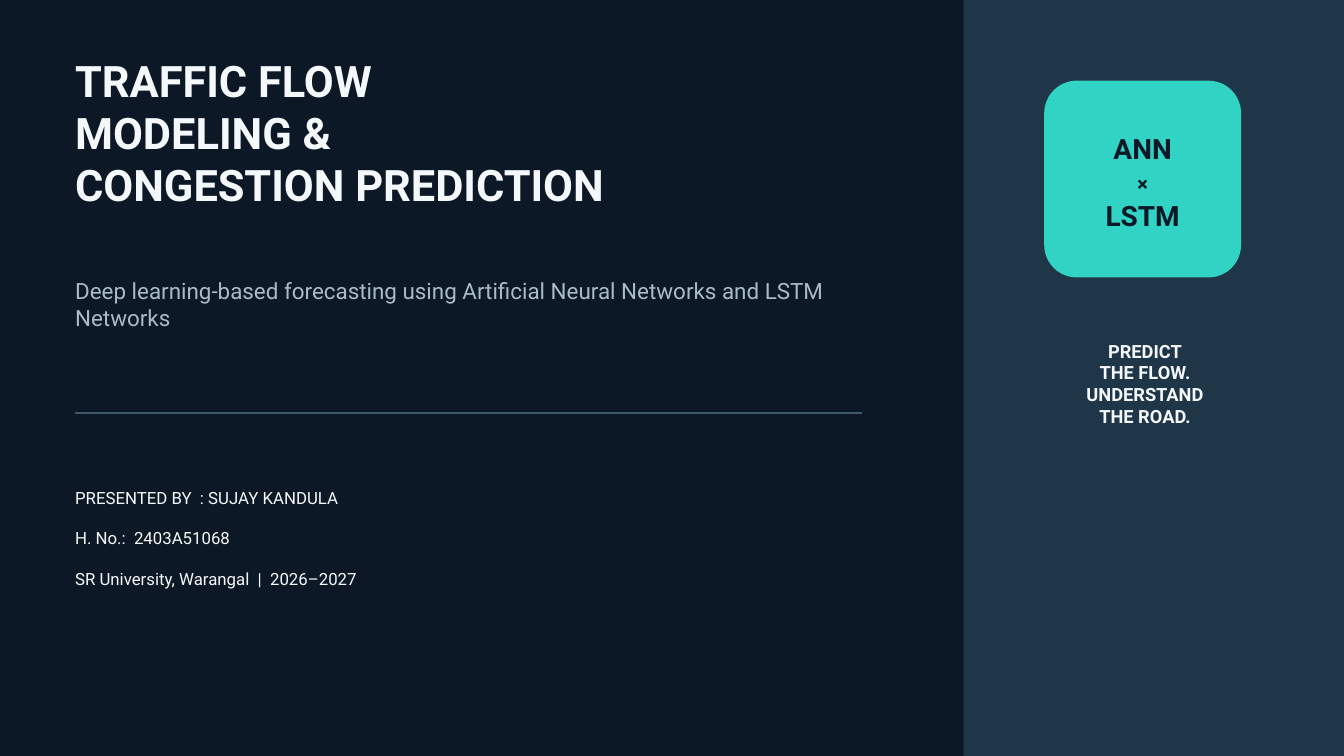
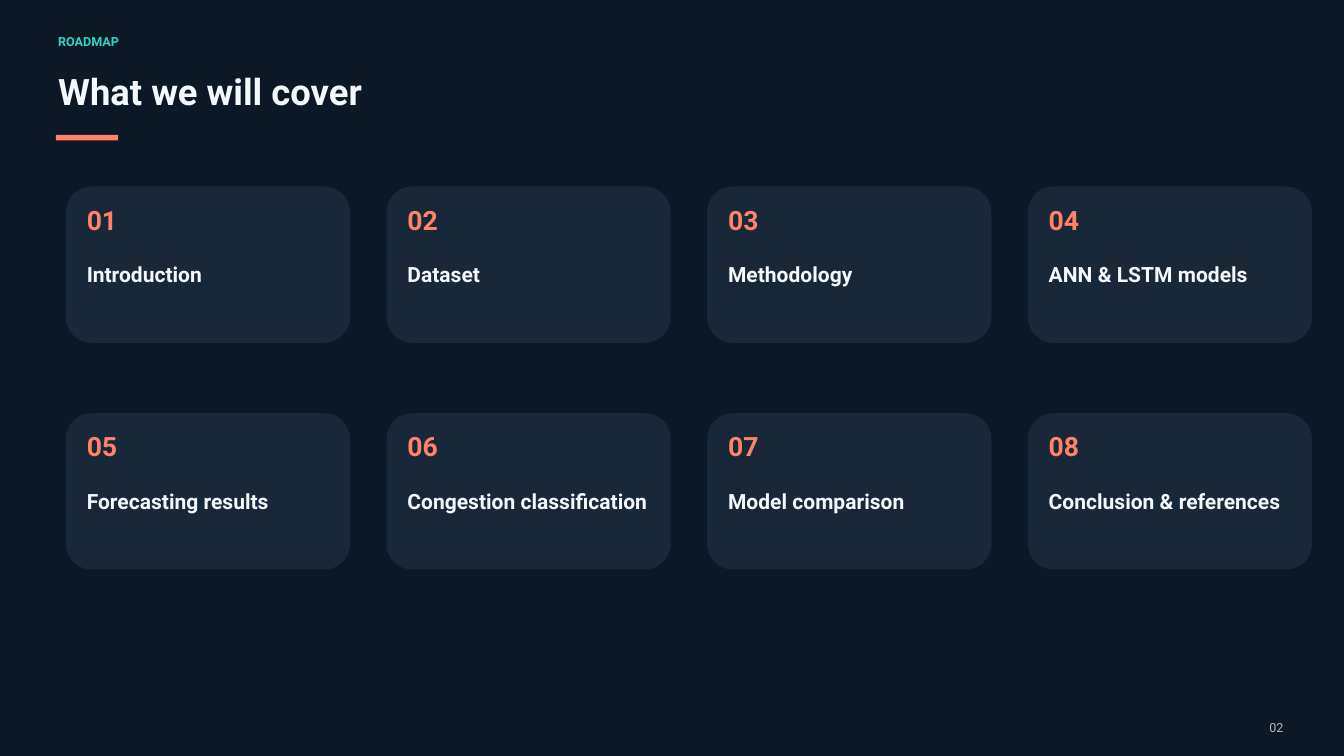
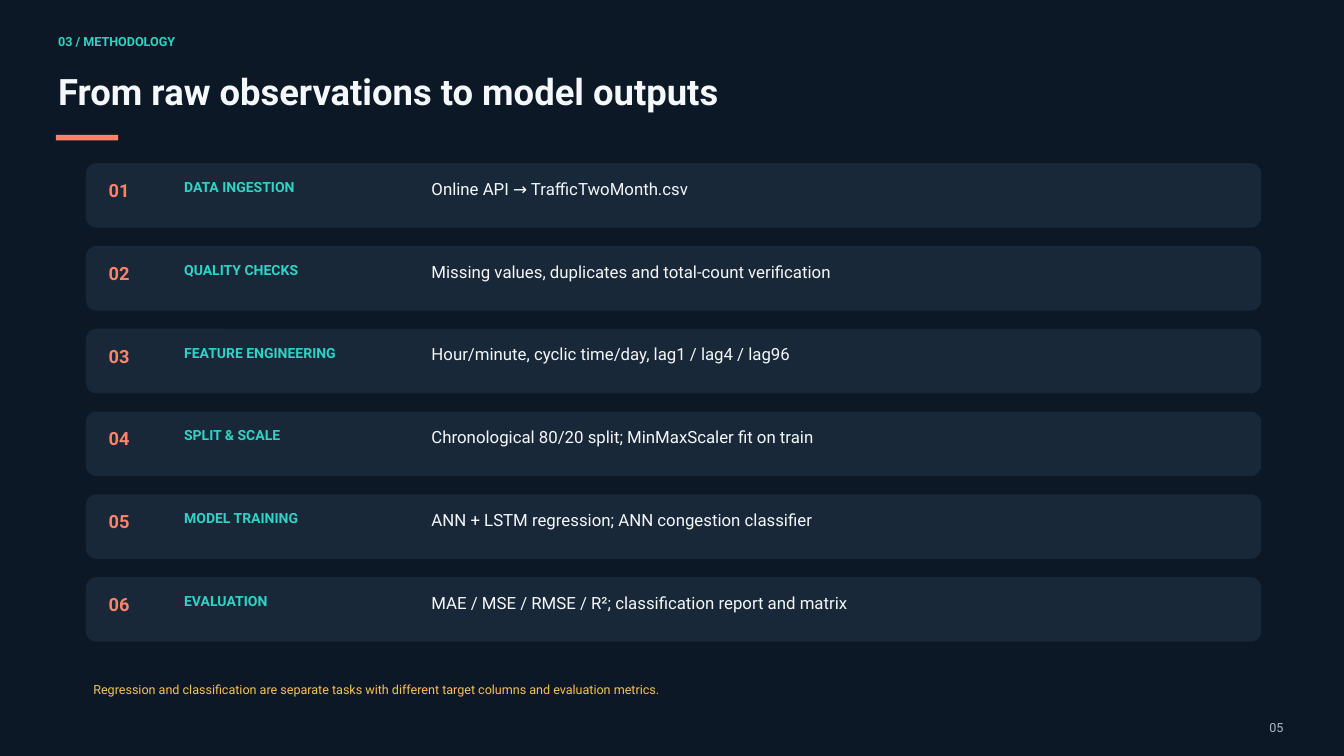
from pptx import Presentation
from pptx.dml.color import RGBColor
from pptx.enum.shapes import MSO_CONNECTOR, MSO_SHAPE
from pptx.enum.text import MSO_ANCHOR, MSO_AUTO_SIZE, PP_ALIGN
from pptx.oxml.ns import qn
from pptx.util import Cm, Pt
from lxml.etree import SubElement

COLORS = {
    "background": "0D1826",
    "panel": "1F3548",
    "card": "182839",
    "rule": "42596B",
    "teal": "30D3C4",
    "coral": "FF8269",
    "amber": "F4C25D",
    "white": "F4F8FB",
    "muted": "A9BBC9",
}
FONT = "Roboto"
SYMBOL_FONT = "Cabin"
LINE_HEIGHT = 1.2
CORNER = 0.165
TITLE_ONLY = 5

TOPICS = [
    "Introduction", "Dataset", "Methodology", "ANN & LSTM models",
    "Forecasting results", "Congestion classification", "Model comparison",
    "Conclusion & references",
]
STEPS = [
    ("DATA INGESTION", "Online API → TrafficTwoMonth.csv"),
    ("QUALITY CHECKS", "Missing values, duplicates and total-count verification"),
    ("FEATURE ENGINEERING", "Hour/minute, cyclic time/day, lag1 / lag4 / lag96"),
    ("SPLIT & SCALE", "Chronological 80/20 split; MinMaxScaler fit on train"),
    ("MODEL TRAINING", "ANN + LSTM regression; ANN congestion classifier"),
    ("EVALUATION", "MAE / MSE / RMSE / R²; classification report and matrix"),
]


def rgb(color):
    return RGBColor.from_string(COLORS[color])


def write_text(shape, text, *, size, color="white", bold=False,
               align=PP_ALIGN.LEFT, anchor=MSO_ANCHOR.TOP, gap=0):
    frame = shape.text_frame
    frame.word_wrap = True
    frame.auto_size = MSO_AUTO_SIZE.NONE
    frame.vertical_anchor = anchor
    frame.margin_left = frame.margin_right = 0
    frame.margin_top = frame.margin_bottom = 0
    frame.text = text
    for index, paragraph in enumerate(frame.paragraphs):
        paragraph.alignment = align
        paragraph.line_spacing = Pt(size * LINE_HEIGHT)
        paragraph.space_before = Pt(gap if index else 0)
        for run in paragraph.runs:
            run.font.name = FONT
            run.font.size = Pt(size)
            run.font.bold = bold
            run.font.color.rgb = rgb(color)


def add_text(slide, text, left, top, width, height, **text_format):
    box = slide.shapes.add_textbox(Cm(left), Cm(top), Cm(width), Cm(height))
    write_text(box, text, **text_format)


def add_block(slide, left, top, width, height, color, rounded=False):
    kind = MSO_SHAPE.ROUNDED_RECTANGLE if rounded else MSO_SHAPE.RECTANGLE
    shape = slide.shapes.add_shape(kind, Cm(left), Cm(top), Cm(width), Cm(height))
    if rounded:
        shape.adjustments[0] = CORNER
    shape.fill.solid()
    shape.fill.fore_color.rgb = rgb(color)
    shape.line.fill.background()
    shape.shadow.inherit = False
    return shape


def add_rule(slide, left, right, y):
    connector = slide.shapes.add_connector(
        MSO_CONNECTOR.STRAIGHT, Cm(left), Cm(y), Cm(right), Cm(y))
    connector.line.color.rgb = rgb("rule")
    connector.line.width = Pt(2.25)
    SubElement(connector._element.spPr, qn("a:effectLst"))


def add_titled_slide(presentation, text, left, top, width, height, size):
    slide = presentation.slides.add_slide(presentation.slide_layouts[TITLE_ONLY])
    title = slide.shapes.title
    title.left, title.top = Cm(left), Cm(top)
    title.width, title.height = Cm(width), Cm(height)
    write_text(title, text, size=size, bold=True)
    return slide


def add_content_slide(presentation, section, title, number):
    slide = add_titled_slide(presentation, title, 2.2, 2.6, 45.92, 2.08, 39)
    add_text(slide, section, 2.2, 1.27, 15.04, 0.86, size=13.5, color="teal", bold=True)
    add_block(slide, 2.11, 5.1, 2.36, 0.21, "coral")
    add_text(slide, number, 46.61, 27.2, 1.9, 0.58, size=13.5, color="muted",
             align=PP_ALIGN.RIGHT)
    return slide


def add_topic_card(slide, index, topic):
    row, column = divmod(index, 4)
    left = 2.49 + column * 12.12
    top = 7.05 + row * 8.57
    add_block(slide, left, top, 10.74, 5.91, "card", rounded=True)
    add_text(slide, f"{index + 1:02}", left + 0.79, top + 0.65, 2.46, 1.22,
             size=28.5, color="coral", bold=True)
    add_text(slide, topic, left + 0.79, top + 2.83, 9.14, 1.98, size=22.5, bold=True)


def add_step_row(slide, index, name, detail):
    top = 6.17 + index * 3.13
    add_block(slide, 3.25, top, 44.42, 2.44, "card", rounded=True)
    add_text(slide, f"{index + 1:02}", 4.11, top + 0.61, 1.9, 0.94,
             size=19.5, color="coral", bold=True)
    add_text(slide, name, 6.96, top + 0.58, 8.94, 0.94, size=15, color="teal", bold=True)
    add_text(slide, detail, 16.31, top + 0.58, 29.54, 1.09, size=18)


def build_cover(presentation):
    slide = add_titled_slide(
        presentation, "TRAFFIC FLOW\nMODELING &\nCONGESTION PREDICTION",
        2.84, 2.03, 31.06, 8.43, 46.5)
    add_block(slide, 36.42, 0, 14.38, 28.58, "panel")
    badge = add_block(slide, 39.47, 3.05, 7.44, 7.44, "teal", rounded=True)
    write_text(badge, "ANN\n×\nLSTM", size=30, color="background", bold=True,
               align=PP_ALIGN.CENTER, anchor=MSO_ANCHOR.MIDDLE)
    badge.text_frame.margin_top = Cm(0.18)
    badge.text_frame.paragraphs[1].runs[0].font.name = SYMBOL_FONT
    add_text(slide, "Deep learning-based forecasting using Artificial Neural Networks "
             "and LSTM Networks", 2.84, 10.49, 29.92, 2.92, size=24, color="muted")
    add_rule(slide, 2.84, 32.59, 15.61)
    add_text(slide, "PRESENTED BY  : SUJAY KANDULA\nH. No.:  2403A51068\n"
             "SR University, Warangal  |  2026–2027",
             2.84, 18.44, 29.16, 3.81, size=18, gap=21.6)
    add_text(slide, "PREDICT\nTHE FLOW.\nUNDERSTAND\nTHE ROAD.",
             38.43, 12.85, 9.7, 5.59, size=19.5, bold=True, align=PP_ALIGN.CENTER)


def build_roadmap(presentation):
    slide = add_content_slide(presentation, "ROADMAP", "What we will cover", "02")
    for index, topic in enumerate(TOPICS):
        add_topic_card(slide, index, topic)


def build_methodology(presentation):
    slide = add_content_slide(presentation, "03 / METHODOLOGY",
                              "From raw observations to model outputs", "05")
    for index, (name, detail) in enumerate(STEPS):
        add_step_row(slide, index, name, detail)
    add_text(slide, "Regression and classification are separate tasks with different "
             "target columns and evaluation metrics.",
             3.53, 25.78, 43.26, 0.74, size=13.5, color="amber")


def main():
    presentation = Presentation()
    presentation.slide_width = Cm(50.8)
    presentation.slide_height = Cm(28.58)
    background = presentation.slide_master.background.fill
    background.solid()
    background.fore_color.rgb = rgb("background")
    build_cover(presentation)
    build_roadmap(presentation)
    build_methodology(presentation)
    presentation.save("out.pptx")


if __name__ == "__main__":
    main()
